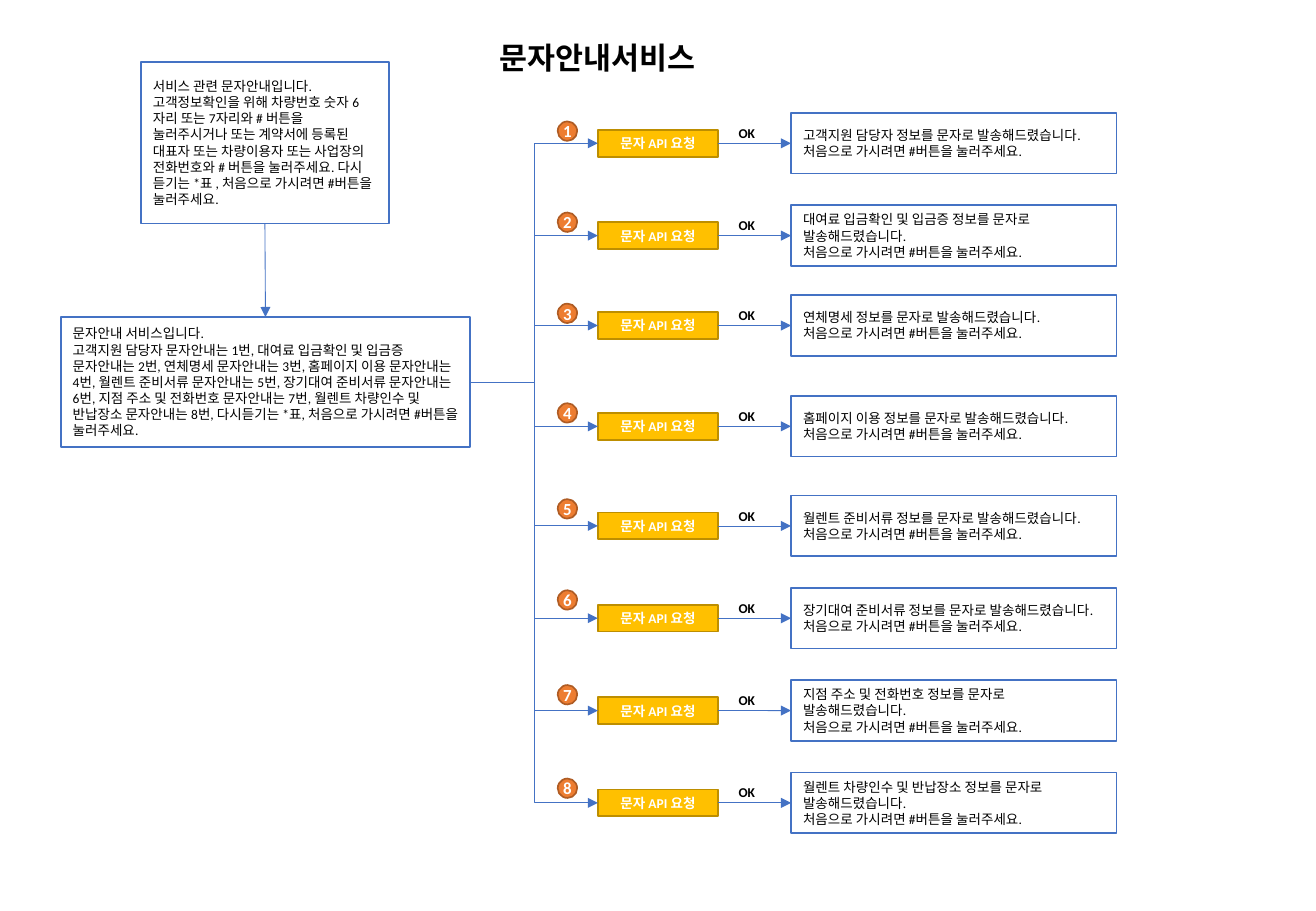
from dataclasses import dataclass

import pptx
import pptx.dml.color
import pptx.enum.shapes
import pptx.enum.text
import pptx.oxml
import pptx.oxml.ns
import pptx.util
from pptx.util import Inches

Shape = pptx.enum.shapes.MSO_SHAPE
ConnectorType = pptx.enum.shapes.MSO_CONNECTOR
Align = pptx.enum.text.PP_ALIGN
Anchor = pptx.enum.text.MSO_ANCHOR


@dataclass(frozen=True)
class Theme:
    font: str = "Calibri"
    black: str = "000000"
    white: str = "FFFFFF"
    blue: str = "4472C4"
    amber: str = "FFC000"
    amber_edge: str = "BD8E00"
    orange: str = "ED7D31"
    orange_edge: str = "AF5C24"
    title_size: int = 18
    badge_size: int = 10
    body_size: int = 8
    outline: float = 1
    connector: float = 0.5


@dataclass(frozen=True)
class Box:
    left: float
    top: float
    width: float
    height: float


@dataclass(frozen=True)
class Style:
    fill: str
    edge: str
    text: str
    size: int
    bold: bool = False
    align: Align = Align.LEFT
    margin: float | None = None


@dataclass(frozen=True)
class Option:
    top: float
    badge_top: float
    message: str


THEME = Theme()
MESSAGE = Style(THEME.white, THEME.blue, THEME.black, THEME.body_size)
REQUEST = Style(THEME.amber, THEME.amber_edge, THEME.white, THEME.body_size, True, Align.CENTER)
BADGE = Style(THEME.orange, THEME.orange_edge, THEME.white, THEME.badge_size, True, Align.CENTER, 0)

RESULT_HEIGHT = 0.5
REQUEST_HEIGHT = 0.22
BADGE_SIDE = 0.16
RETURN_HINT = "처음으로 가시려면 #버튼을 눌러주세요."

INTRO = [
    "서비스 관련 문자안내입니다.",
    "고객정보확인을 위해 차량번호 숫자 6자리 또는 7자리와 # 버튼을 눌러주시거나 또는 "
    "계약서에 등록된 대표자 또는 차량이용자 또는 사업장의 전화번호와 # 버튼을 눌러주세요. "
    "다시 듣기는 *표 , 처음으로 가시려면 #버튼을 눌러주세요.",
]
MENU = [
    "문자안내 서비스입니다.",
    "고객지원 담당자 문자안내는 1번, 대여료 입금확인 및 입금증 문자안내는 2번, "
    "연체명세 문자안내는 3번, 홈페이지 이용 문자안내는 4번, 월렌트 준비서류 문자안내는 5번, "
    "장기대여 준비서류 문자안내는 6번, 지점 주소 및 전화번호 문자안내는 7번, "
    "월렌트 차량인수 및 반납장소 문자안내는 8번, 다시듣기는 *표, " + RETURN_HINT,
]
OPTIONS = [
    Option(0.93, 1.00, "고객지원 담당자 정보를 문자로 발송해드렸습니다."),
    Option(1.69, 1.75, "대여료 입금확인 및 입금증 정보를 문자로 발송해드렸습니다."),
    Option(2.43, 2.50, "연체명세 정보를 문자로 발송해드렸습니다."),
    Option(3.26, 3.32, "홈페이지 이용 정보를 문자로 발송해드렸습니다."),
    Option(4.08, 4.11, "월렌트 준비서류 정보를 문자로 발송해드렸습니다."),
    Option(4.84, 4.86, "장기대여 준비서류 정보를 문자로 발송해드렸습니다."),
    Option(5.60, 5.64, "지점 주소 및 전화번호 정보를 문자로 발송해드렸습니다."),
    Option(6.36, 6.41, "월렌트 차량인수 및 반납장소 정보를 문자로 발송해드렸습니다."),
]


def color(value: str) -> pptx.dml.color.RGBColor:
    return pptx.dml.color.RGBColor.from_string(value)


def lengths(box: Box) -> list[pptx.util.Length]:
    return [Inches(value) for value in (box.left, box.top, box.width, box.height)]


def write(text_frame: pptx.text.text.TextFrame, lines: list[str], size: int,
          text_color: str, bold: bool, align: Align) -> None:
    text_frame.text = "\n".join(lines)
    for paragraph in text_frame.paragraphs:
        paragraph.alignment = align
        paragraph.font.name = THEME.font
        paragraph.font.size = pptx.util.Pt(size)
        paragraph.font.bold = bold
        paragraph.font.color.rgb = color(text_color)


def add_node(kind: Shape, box: Box, lines: list[str], style: Style) -> pptx.shapes.autoshape.Shape:
    shape = slide.shapes.add_shape(kind, *lengths(box))
    shape.shadow.inherit = False
    shape.fill.solid()
    shape.fill.fore_color.rgb = color(style.fill)
    shape.line.color.rgb = color(style.edge)
    shape.line.width = pptx.util.Pt(THEME.outline)
    text_frame = shape.text_frame
    text_frame.vertical_anchor = Anchor.MIDDLE
    text_frame.word_wrap = style.margin is None
    if style.margin is not None:
        text_frame.margin_left = text_frame.margin_right = Inches(style.margin)
        text_frame.margin_top = text_frame.margin_bottom = Inches(style.margin)
    write(text_frame, lines, style.size, style.text, style.bold, style.align)
    return shape


def add_label(box: Box, text: str) -> None:
    text_frame = slide.shapes.add_textbox(*lengths(box)).text_frame
    text_frame.word_wrap = True
    write(text_frame, [text], THEME.body_size, THEME.black, True, Align.LEFT)


def add_arrow(kind: ConnectorType, source: pptx.shapes.autoshape.Shape, source_site: int,
              target: pptx.shapes.autoshape.Shape, target_site: int) -> None:
    connector = slide.shapes.add_connector(kind, 0, 0, 0, 0)
    connector.begin_connect(source, source_site)
    connector.end_connect(target, target_site)
    connector.line.color.rgb = color(THEME.blue)
    connector.line.width = pptx.util.Pt(THEME.connector)
    line = connector.line._get_or_add_ln()
    line.append(pptx.oxml.parse_xml(
        f'<a:tailEnd {pptx.oxml.ns.nsdecls("a")} type="triangle"/>'))
    connector._element.spPr.append(pptx.oxml.parse_xml(
        f'<a:effectLst {pptx.oxml.ns.nsdecls("a")}/>'))


# Connection sites of a rectangle
TOP, LEFT, BOTTOM, RIGHT = range(4)

presentation = pptx.Presentation()
presentation.slide_width = Inches(10.83)
presentation.slide_height = Inches(7.5)
slide = presentation.slides.add_slide(presentation.slide_layouts[5])

# Title
title = slide.shapes.title
title.left, title.top, title.width, title.height = lengths(Box(4.01, 0.27, 2.03, 0.4))
title.text_frame.word_wrap = False
title.text_frame.auto_size = pptx.enum.text.MSO_AUTO_SIZE.NONE
title.text_frame.vertical_anchor = Anchor.TOP
write(title.text_frame, ["문자안내서비스"], THEME.title_size, THEME.black, True, Align.LEFT)

# Introduction and menu
menu = add_node(Shape.RECTANGLE, Box(0.5, 2.61, 3.37, 1.07), MENU, MESSAGE)
intro = add_node(Shape.RECTANGLE, Box(1.16, 0.51, 2.04, 1.33), INTRO, MESSAGE)
add_arrow(ConnectorType.STRAIGHT, intro, BOTTOM, menu, TOP)

# One branch for each menu option
for number, option in enumerate(OPTIONS, start=1):
    request_top = option.top + (RESULT_HEIGHT - REQUEST_HEIGHT) / 2
    request = add_node(Shape.RECTANGLE, Box(4.92, request_top, 0.99, REQUEST_HEIGHT),
                       ["문자 API 요청"], REQUEST)
    result = add_node(Shape.RECTANGLE, Box(6.51, option.top, 2.68, RESULT_HEIGHT),
                      [option.message, RETURN_HINT], MESSAGE)
    add_node(Shape.OVAL, Box(4.59, option.badge_top, BADGE_SIDE, BADGE_SIDE),
             [str(number)], BADGE)
    add_arrow(ConnectorType.ELBOW, menu, RIGHT, request, LEFT)
    add_arrow(ConnectorType.STRAIGHT, request, RIGHT, result, LEFT)
    add_label(Box(5.98, option.top + 0.05, 0.36, 0.24), "OK")

presentation.save("out.pptx")
